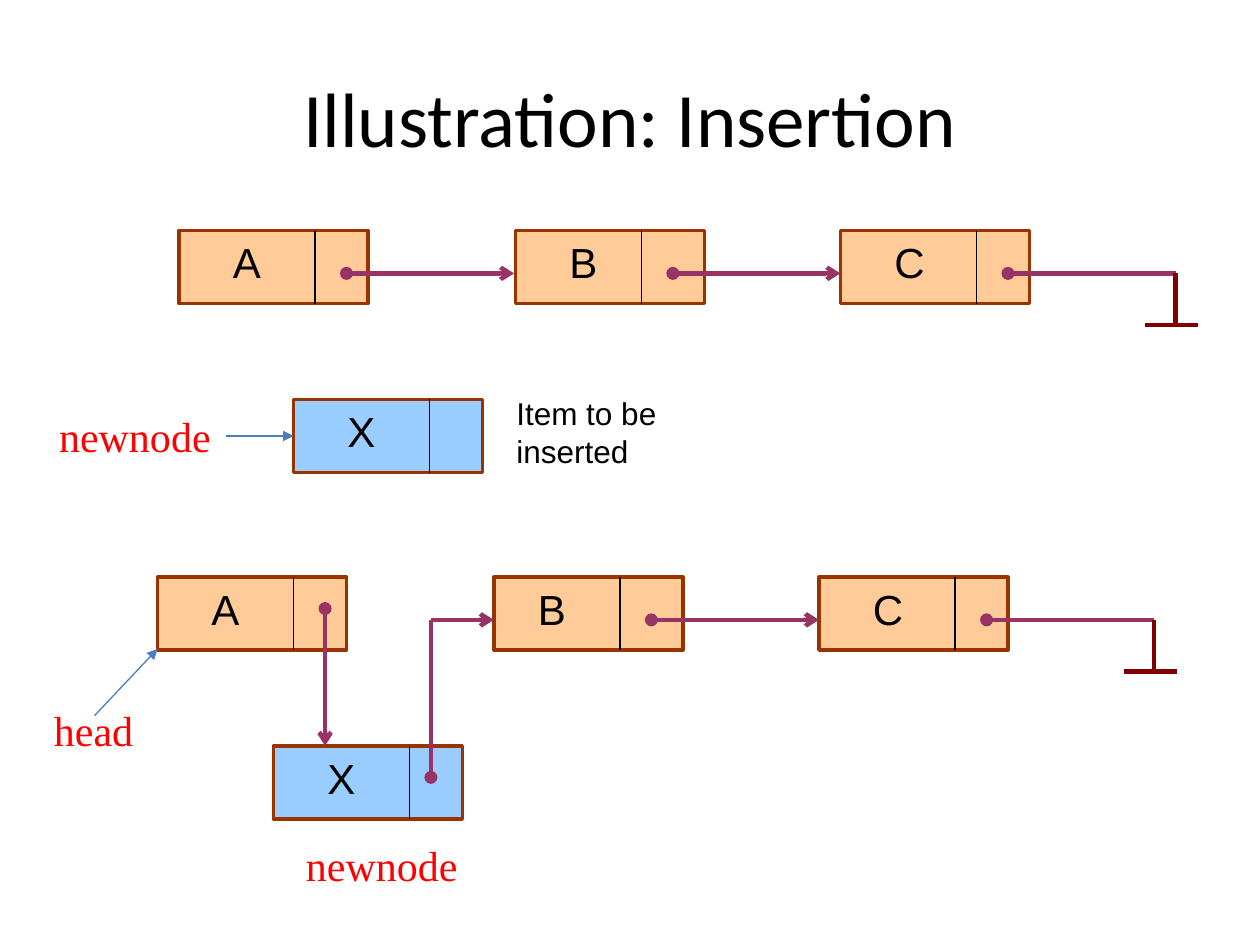
from lxml.etree import SubElement
from pptx import Presentation
from pptx.dml.color import RGBColor
from pptx.enum.shapes import MSO_CONNECTOR as CONNECTOR, MSO_SHAPE as SHAPE
from pptx.enum.text import MSO_ANCHOR as ANCHOR, MSO_AUTO_SIZE as AUTO_SIZE, PP_ALIGN as ALIGN
from pptx.oxml.ns import qn
from pptx.util import Inches, Pt

COLORS = {
    "text": "000000", "label": "FF0000", "list": "FFCC99", "new": "99CCFF",
    "border": "993300", "pointer": "993366", "null": "800000", "callout": "4B7EBC",
}
NODE_W, NODE_H = 1.5, 0.58
LINK_Y = 0.34  # height of a link below the top of its node

TITLE_FONT = {"name": "Calibri", "size": Pt(44)}
LETTER_FONT = {"name": "Arial", "size": Pt(24)}
NOTE_FONT = {"name": "Arial", "size": Pt(18)}
LABEL_FONT = {"name": "Times New Roman", "size": Pt(24)}


def rgb(name):
    return RGBColor.from_string(COLORS[name])


def format_font(font, values, color="text"):
    for name, value in values.items():
        setattr(font, name, value)
    font.color.rgb = rgb(color)


def add_text(slide, text, x, y, w, h, values, color="text", wrap=True):
    tf = slide.shapes.add_textbox(Inches(x), Inches(y), Inches(w), Inches(h)).text_frame
    tf.word_wrap = wrap
    tf.auto_size = AUTO_SIZE.SHAPE_TO_FIT_TEXT
    r = tf.paragraphs[0].add_run()
    r.text = text
    format_font(r.font, values, color)


def add_label(slide, text, x, y, w):
    add_text(slide, text, x, y, w, 0.5, LABEL_FONT, "label", wrap=False)


def add_line(slide, start, end, color, width, head=None, tail=None):
    line = slide.shapes.add_connector(
        CONNECTOR.STRAIGHT, *(Inches(v) for v in (*start, *end)))
    line.line.color.rgb = rgb(color)
    line.line.width = Pt(width)
    ln = line.line._get_or_add_ln()
    for tag, kind in (("a:headEnd", head), ("a:tailEnd", tail)):
        if kind:
            SubElement(ln, qn(tag), type=kind)
    SubElement(line._element.spPr, qn("a:effectLst"))


def add_pointer(slide, start, end, head="oval", tail="arrow"):
    add_line(slide, start, end, "pointer", 2.5, head, tail)


def add_callout(slide, start, end):
    add_line(slide, start, end, "callout", 0.75, tail="triangle")


def add_node(slide, letter, x, y, fill="list", divider=1.08, indent=0.33):
    """A box split into a letter field and a link field."""
    sp = slide.shapes.add_shape(
        SHAPE.RECTANGLE, Inches(x), Inches(y), Inches(NODE_W), Inches(NODE_H))
    sp.shadow.inherit = False
    sp.fill.solid()
    sp.fill.fore_color.rgb = rgb(fill)
    sp.line.color.rgb = rgb("border")
    sp.line.width = Pt(2)
    add_line(slide, (x + divider, y), (x + divider, y + NODE_H), "text", 0.75)
    add_text(slide, letter, x + indent, y, 0.67, 0.5, LETTER_FONT)


def add_null(slide, x, y):
    """The ground sign that ends a list."""
    foot = y + 0.41
    add_line(slide, (x, y), (x, foot), "null", 2.5)
    add_line(slide, (x - 0.24, foot), (x + 0.18, foot), "null", 2.5)


def add_list(slide, x, y, b_indent=0.33):
    """Nodes B and C of a list whose node A is at x, with the links after B."""
    b, c = x + 2.67, x + 5.25
    add_node(slide, "A", x, y)
    add_node(slide, "B", b, y, divider=1, indent=b_indent)
    add_node(slide, "C", c, y)
    link = y + LINK_Y
    add_pointer(slide, (b + 1.25, link), (c, link))
    add_pointer(slide, (c + 1.33, link), (c + 2.66, link), tail=None)
    add_null(slide, c + 2.66, link)


def add_title(slide, text):
    title = slide.shapes.title
    title.left, title.top, title.width, title.height = (
        Inches(v) for v in (0.5, 0.3, 9, 1.25))
    tf = title.text_frame
    tf.text = text
    tf.vertical_anchor = ANCHOR.MIDDLE
    p = tf.paragraphs[0]
    p.alignment = ALIGN.CENTER
    format_font(p.runs[0].font, TITLE_FONT)


def main():
    prs = Presentation()
    prs.slide_width, prs.slide_height = Inches(10), Inches(7.5)
    slide = prs.slides.add_slide(prs.slide_layouts[5])
    add_title(slide, "Illustration: Insertion")

    # List before the insertion
    add_list(slide, 1.42, 1.83)
    add_pointer(slide, (2.75, 2.17), (4.08, 2.17))

    # Item to be inserted
    add_node(slide, "X", 2.33, 3.17, "new")
    add_text(slide, "Item to be inserted", 4, 3.08, 1.83, 0.7, NOTE_FONT)
    add_label(slide, "newnode", 0.37, 3.21, 1.42)
    add_callout(slide, (1.79, 3.46), (2.33, 3.46))

    # List after the insertion: A to X, X to B
    add_list(slide, 1.25, 4.58, b_indent=0.25)
    add_node(slide, "X", 2.17, 5.92, "new")
    add_pointer(slide, (2.58, 4.83), (2.58, 5.92))
    add_pointer(slide, (3.42, 6.17), (3.42, 4.92), tail=None)
    add_pointer(slide, (3.42, 4.92), (3.92, 4.92), head=None)
    add_label(slide, "head", 0.33, 5.54, 0.84)
    add_callout(slide, (0.75, 5.68), (1.25, 5.15))
    add_label(slide, "newnode", 2.33, 6.61, 1.42)

    prs.save("out.pptx")


if __name__ == "__main__":
    main()
